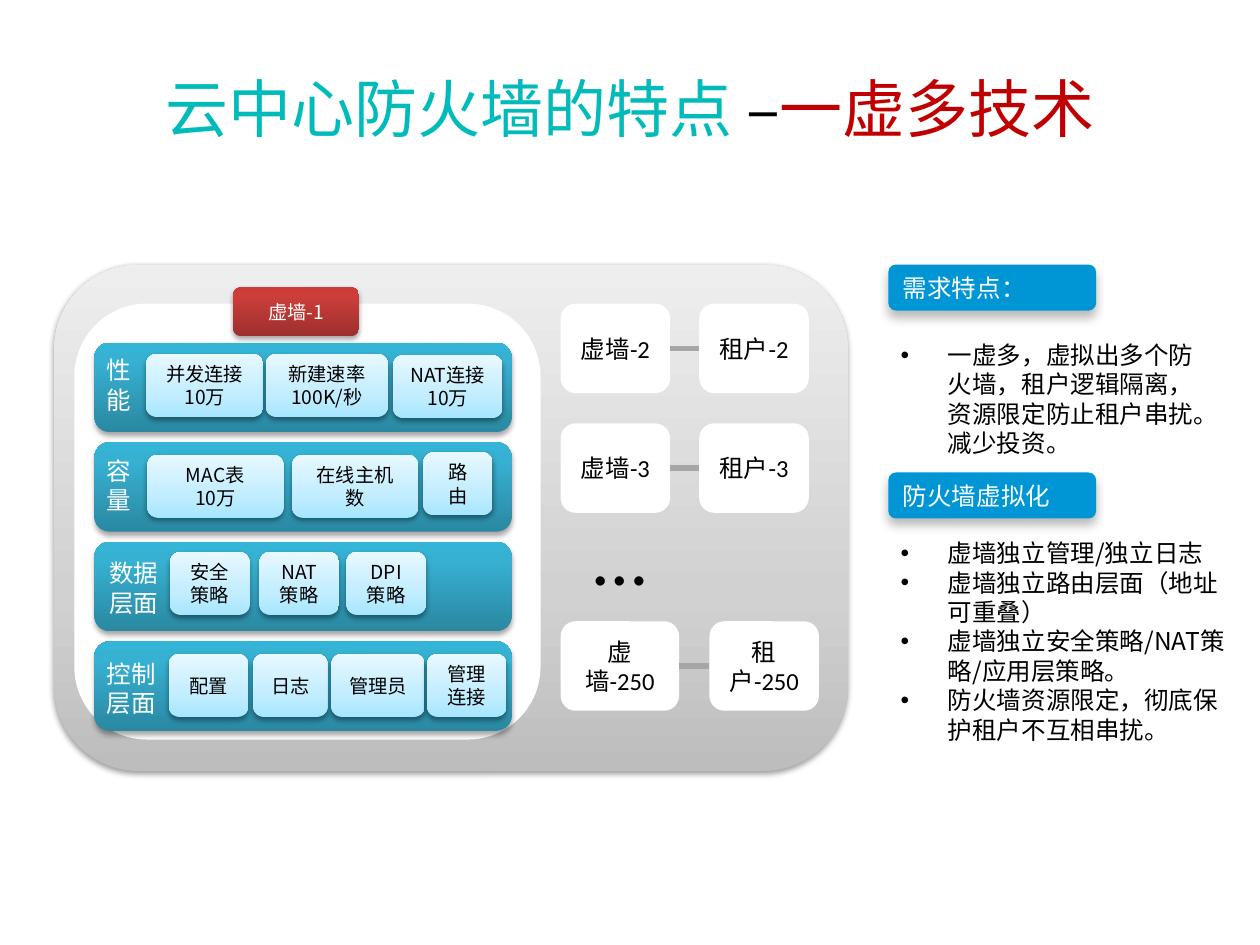
"""Build the slide on one-to-many firewall virtualization in a cloud centre."""
from lxml import etree
from pptx import Presentation
from pptx.dml.color import RGBColor
from pptx.enum.shapes import MSO_CONNECTOR, MSO_SHAPE
from pptx.enum.text import MSO_ANCHOR, PP_ALIGN
from pptx.oxml import parse_xml
from pptx.oxml.ns import nsdecls, qn
from pptx.util import Pt

ROUNDED, RECTANGLE = MSO_SHAPE.ROUNDED_RECTANGLE, MSO_SHAPE.RECTANGLE
STRAIGHT = MSO_CONNECTOR.STRAIGHT
LEFT, CENTER = PP_ALIGN.LEFT, PP_ALIGN.CENTER
TOP, MIDDLE = MSO_ANCHOR.TOP, MSO_ANCHOR.MIDDLE
NOTO, CALIBRI = "Noto Sans CJK SC", "Calibri"
BLACK, WHITE, BLUE = "000000", "FFFFFF", "0096D6"
GRAY_FADE = [(0, "BDBDBD"), (35, "D1D1D1"), (100, "EEEEEE")]
TEAL_FADE = [(0, "2A88A2"), (80, "37B1D2"), (100, "34B4D6")]
SKY_FADE = [(0, "A7E6FF"), (35, "C1EDFF"), (100, "E7F8FF")]
RED_FADE = [(0, "9C2F2D"), (80, "CB3E3A"), (100, "CE3B37")]
SOFT, STRONG, DEEP = (38, 3.1, 1.6), (35, 3.1, 1.8), (27, 6, 4)

deck = Presentation()
deck.slide_width, deck.slide_height = Pt(720), Pt(540)
page = deck.slides.add_slide(deck.slide_layouts[6])


def write(box, text, size=14, font=NOTO, color=BLACK, align=CENTER, anchor=MIDDLE, wrap=True, bullet=False):
    """Fill a box with paragraphs; text is a string or a list of (words, colour) runs."""
    frame = box.text_frame
    frame.word_wrap, frame.vertical_anchor = wrap, anchor
    lines = [[(line, color)] for line in text.split("\n")] if isinstance(text, str) else [text]
    for number, line in enumerate(lines):
        para = frame.add_paragraph() if number else frame.paragraphs[0]
        para.alignment = align
        if bullet:
            properties = para._p.get_or_add_pPr()
            properties.set("marL", str(Pt(27)))
            properties.set("indent", str(-Pt(27)))
            etree.SubElement(properties, qn("a:buFont")).set("typeface", "Arial")
            etree.SubElement(properties, qn("a:buChar")).set("char", "•")
        for words, shade in line:
            span = para.add_run()
            span.text = words
            span.font.size, span.font.name = Pt(size), font
            span.font.color.rgb = RGBColor.from_string(shade)
            etree.SubElement(span._r.get_or_add_rPr(), qn("a:ea")).set("typeface", NOTO)


def add_block(left, top, width, height, fill, shadow=None, kind=ROUNDED):
    """Add a borderless shape with a solid or upward gradient fill and an optional shadow."""
    block = page.shapes.add_shape(kind, Pt(left), Pt(top), Pt(width), Pt(height))
    block.line.fill.background()
    block.shadow.inherit = False
    if isinstance(fill, str):
        block.fill.solid()
        block.fill.fore_color.rgb = RGBColor.from_string(fill)
    else:
        stops = "".join(f'<a:gs pos="{at * 1000}"><a:srgbClr val="{shade}"/></a:gs>' for at, shade in fill)
        block._element.spPr.find(qn("a:prstGeom")).addnext(parse_xml(
            f'<a:gradFill {nsdecls("a")} rotWithShape="1"><a:gsLst>{stops}</a:gsLst>'
            '<a:lin ang="16200000" scaled="0"/></a:gradFill>'))
    if shadow:
        alpha, blur, distance = shadow
        block._element.spPr.find(qn("a:effectLst")).append(parse_xml(
            f'<a:outerShdw {nsdecls("a")} blurRad="{Pt(blur)}" dist="{Pt(distance)}" dir="5400000" '
            f'rotWithShape="0"><a:srgbClr val="000000"><a:alpha val="{alpha * 1000}"/></a:srgbClr></a:outerShdw>'))
    return block


title = page.shapes.add_textbox(0, Pt(29.5), Pt(720), Pt(64))
write(title, [("云中心防火墙的特点 ", "01BBBB"), ("–", BLACK), ("一虚多技术", "C00000")], size=36)

notes = [
    (190.8, 185, 75, "一虚多，虚拟出多个防火墙，租户逻辑隔离，资源限定防止租户串扰。减少投资。"),
    (304, 206.6, 126, "虚墙独立管理/独立日志\n虚墙独立路由层面（地址可重叠）\n"
     "虚墙独立安全策略/NAT策略/应用层策略。\n防火墙资源限定，彻底保护租户不互相串扰。"),
]
for top, width, height, text in notes:
    note = add_block(507.6, top, width, height, WHITE, kind=RECTANGLE)
    write(note, text, align=LEFT, anchor=TOP, bullet=True)

for top, text in [(270, "防火墙虚拟化"), (151.2, "需求特点：")]:
    write(add_block(507.6, top, 118.8, 26.3, BLUE, DEEP), text, color=WHITE, align=LEFT)

add_block(31, 151.2, 453.6, 289.4, GRAY_FADE, SOFT)
add_block(42.5, 173.5, 266.4, 249.1, WHITE)
write(add_block(133.2, 164.2, 72, 28, RED_FADE, STRONG), "虚墙-1", size=11, color=WHITE)

layers = [
    ("性\n能", 54, 3.6, [("并发连接\n10万", 83.5, 67, 6.5), ("新建速率\n100K/秒", 151.9, 69.8, 6.5),
                        ("NAT连接\n10万", 224.6, 62.6, 7.2)]),
    ("容\n量", 54, 4.3, [("MAC表\n10万", 84.2, 77.8, 7.2), ("在线主机数", 167, 72, 7.2),
                        ("路由", 241.9, 39.6, 5.8)]),
    ("数据\n层面", 55.4, 5.8, [("安全\n策略", 97.2, 45.4, 5.8), ("NAT策略", 148.3, 45.4, 5.8),
                            ("DPI策略", 198, 45.4, 5.8)]),
    ("控制\n层面", 54, 6.5, [("配置", 96.5, 45.4, 7.2), ("日志", 144.7, 42.5, 7.2),
                          ("管理员", 189.4, 53.3, 7.2), ("管理\n连接", 244.1, 45.4, 7.2)]),
]
for row, (name, name_left, name_drop, tiles) in enumerate(layers):
    top = 195.8 + 56.9 * row
    add_block(54, top, 238.3, 51.1, TEAL_FADE, STRONG)
    label = page.shapes.add_textbox(Pt(name_left), Pt(top + name_drop), Pt(14.4 * len(name) - 14.4), Pt(41))
    write(label, name, font=CALIBRI, color=WHITE, align=LEFT, anchor=TOP, wrap=False)
    for text, left, width, drop in tiles:
        write(add_block(left, top + drop, width, 36, SKY_FADE, SOFT), text, size=11)

pairs = [(2, 173.5, 62.6, 399.6), (3, 241.9, 62.6, 399.6), (250, 355, 67.7, 405.4)]
for number, top, wall_width, tenant_left in pairs:
    write(add_block(320.4, top, wall_width, 51.1, WHITE), f"虚墙-{number}", font=CALIBRI)
    write(add_block(tenant_left, top, 62.6, 51.1, WHITE), f"租户-{number}", font=CALIBRI)
    middle = Pt(top + 25.55)
    link = page.shapes.add_connector(STRAIGHT, Pt(320.4 + wall_width), middle, Pt(tenant_left), middle)
    link.line.color.rgb = RGBColor.from_string("A6A6A6")
    link.line.width = Pt(3)
    etree.SubElement(link._element.spPr, qn("a:effectLst"))

dots = page.shapes.add_textbox(Pt(331.9), Pt(287.3), Pt(45.4), Pt(60.5))
write(dots, "…", size=44, font=CALIBRI, align=LEFT, anchor=TOP)

deck.save("out.pptx")
